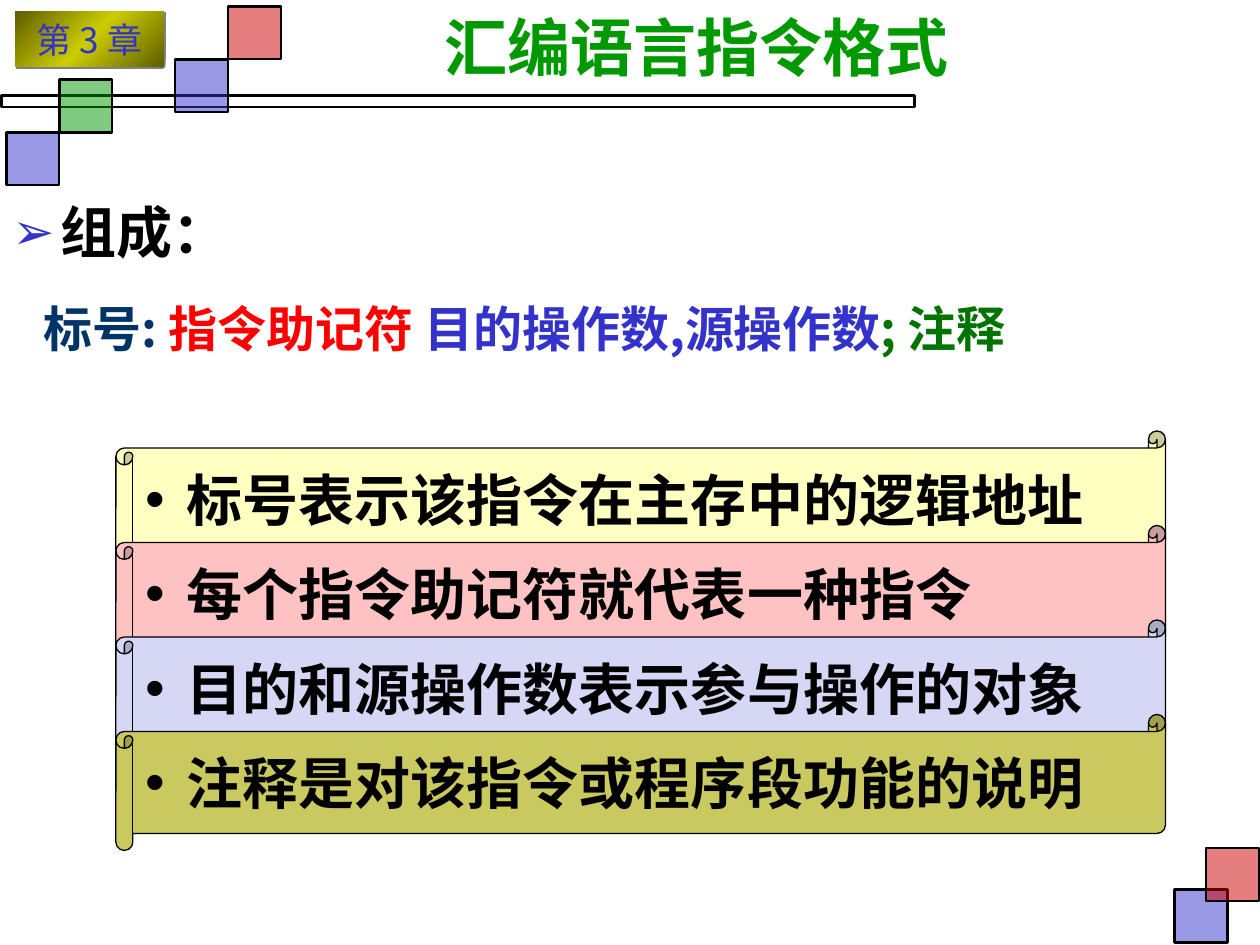
from lxml.etree import SubElement
from pptx import Presentation
from pptx.dml.color import RGBColor
from pptx.enum.shapes import MSO_SHAPE
from pptx.enum.text import MSO_ANCHOR, MSO_AUTO_SIZE, PP_ALIGN
from pptx.oxml.ns import qn
from pptx.util import Inches, Pt

WIDTH, HEIGHT = 10, 7.5
SQUARE = 0.42
BLUE, RED, GREEN, BLACK = "3333CC", "CC0000", "009900", "000000"
CJK = "Noto Sans CJK SC"


def paint(color_format, value):
    color_format.rgb = RGBColor.from_string(value)


def inches(box):
    return [Inches(length) for length in box]


def add_text(paragraph, text, size=32, color=BLACK, bold=True, latin=CJK, asian=CJK):
    run = paragraph.add_run()
    run.text = text
    run.font.size, run.font.bold, run.font.name = Pt(size), bold, latin
    paint(run.font.color, color)
    SubElement(run.font._element, qn("a:ea"), typeface=asian)


def indent(paragraph, margin, hanging=0):
    properties = paragraph._p.get_or_add_pPr()
    properties.set("marL", str(Inches(margin)))
    properties.set("indent", str(-Inches(hanging)))


def add_bullet(paragraph, mark, color, margin, percent=100):
    indent(paragraph, margin, margin)
    properties = paragraph._p.get_or_add_pPr()
    SubElement(SubElement(properties, qn("a:buClr")), qn("a:srgbClr"), val=color)
    SubElement(properties, qn("a:buSzPct"), val=str(percent * 1000))
    SubElement(properties, qn("a:buFont"), typeface="Arial")
    SubElement(properties, qn("a:buChar"), char=mark)


def add_block(slide, box, fill=None, line=1.5, alpha=None, kind=MSO_SHAPE.RECTANGLE):
    block = slide.shapes.add_shape(kind, *inches(box))
    block.shadow.inherit = False
    if fill:
        block.fill.solid()
        paint(block.fill.fore_color, fill)
    else:
        block.fill.background()
    if alpha:
        color = block._element.spPr.find(".//" + qn("a:srgbClr"))
        SubElement(color, qn("a:alpha"), val=str(alpha * 1000))
    paint(block.line.color, BLACK)
    block.line.width = Pt(line)
    return block


def add_squares(slide, left, top, squares):
    for column, row, color in squares:
        place = (left + column * SQUARE, top + row * SQUARE, SQUARE, SQUARE)
        add_block(slide, place, color, alpha=50)


def add_decoration(slide):
    add_block(slide, (0.01, 0.76, 0.725 * WIDTH, 0.09))
    add_squares(slide, 9.32, 6.73, [(0, 0.79, BLUE), (0.6, 0, RED)])
    add_squares(slide, 1.39, 0.05, [(0, 1, BLUE), (1, 0, RED)])
    add_squares(slide, 0.05, 0.63, [(0, 1, BLUE), (1, 0, GREEN)])


def add_chapter_badge(slide, box):
    badge = add_block(slide, box)
    badge.line.fill.background()
    badge.fill.gradient()
    badge.fill.gradient_angle = 315
    stops = badge._element.spPr.find(".//" + qn("a:gsLst"))
    for stop in list(stops):
        stops.remove(stop)
    for position, color in [(0, "5E5E00"), (50, "CCCC00"), (100, "5E5E00")]:
        stop = SubElement(stops, qn("a:gs"), pos=str(position * 1000))
        SubElement(stop, qn("a:srgbClr"), val=color)
    effects = badge._element.spPr.find(qn("a:effectLst"))
    shadow = SubElement(effects, qn("a:outerShdw"), blurRad="0",
                        dist=str(Pt(1.4)), dir=str(45 * 60000), rotWithShape="0")
    SubElement(shadow, qn("a:srgbClr"), val="808080")
    paragraph = badge.text_frame.paragraphs[0]
    paragraph.alignment = PP_ALIGN.CENTER
    add_text(paragraph, "第 3 章", size=20, color=BLUE, bold=False,
             latin="Noto Sans CJK JP", asian="Noto Sans CJK JP")


def add_title(slide, box):
    title = slide.shapes.title
    title.left, title.top, title.width, title.height = inches(box)
    frame = title.text_frame
    frame.auto_size = MSO_AUTO_SIZE.NONE
    frame.vertical_anchor = MSO_ANCHOR.MIDDLE
    frame.paragraphs[0].alignment = PP_ALIGN.CENTER
    add_text(frame.paragraphs[0], "汇编语言指令格式", size=36, color=GREEN, latin="Roboto")


def add_syntax(slide, box):
    frame = slide.shapes.add_textbox(*inches(box)).text_frame
    frame.word_wrap = True
    heading = frame.paragraphs[0]
    heading.line_spacing = 0.9
    add_bullet(heading, "➢", BLUE, margin=0.38, percent=90)
    add_text(heading, "组成：")
    syntax = frame.add_paragraph()
    syntax.line_spacing, syntax.space_before = 1.35, Pt(7)
    indent(syntax, 0.25)
    for part, color in [("标号: ", "003366"), ("指令助记符 ", "FF0000"),
                        ("目的操作数,源操作数", BLUE), ("; 注释", "007300")]:
        add_text(syntax, part, size=28, color=color)


def add_scrolls(slide, box, notes):
    left, top, width, height = box
    pitch = height / len(notes)
    for row, (note, fill) in enumerate(notes):
        scroll = add_block(slide, (left, top + row * pitch, width, 1.08), fill,
                           line=0.75, kind=MSO_SHAPE.HORIZONTAL_SCROLL)
        scroll.adjustments[0] = 0.125
        scroll.text_frame.vertical_anchor = MSO_ANCHOR.MIDDLE
        paragraph = scroll.text_frame.paragraphs[0]
        paragraph.alignment = PP_ALIGN.LEFT
        add_bullet(paragraph, "•", BLACK, margin=0.33)
        add_text(paragraph, note)


def main():
    deck = Presentation()
    deck.slide_width, deck.slide_height = Inches(WIDTH), Inches(HEIGHT)
    slide = deck.slides.add_slide(deck.slide_layouts[5])
    add_decoration(slide)
    add_chapter_badge(slide, (0.12, 0.09, 1.18, 0.44))
    add_title(slide, (2.24, 0.06, 6.58, 0.62))
    add_syntax(slide, (0, 1.58, 9.73, 1.92))
    add_scrolls(slide, (0.92, 3.42, 8.33, 0.4 * HEIGHT), [
        ("标号表示该指令在主存中的逻辑地址", "FFFFC2"),
        ("每个指令助记符就代表一种指令", "FFC2C2"),
        ("目的和源操作数表示参与操作的对象", "D6D6F5"),
        ("注释是对该指令或程序段功能的说明", "C9C960"),
    ])
    deck.save("out.pptx")


if __name__ == "__main__":
    main()
